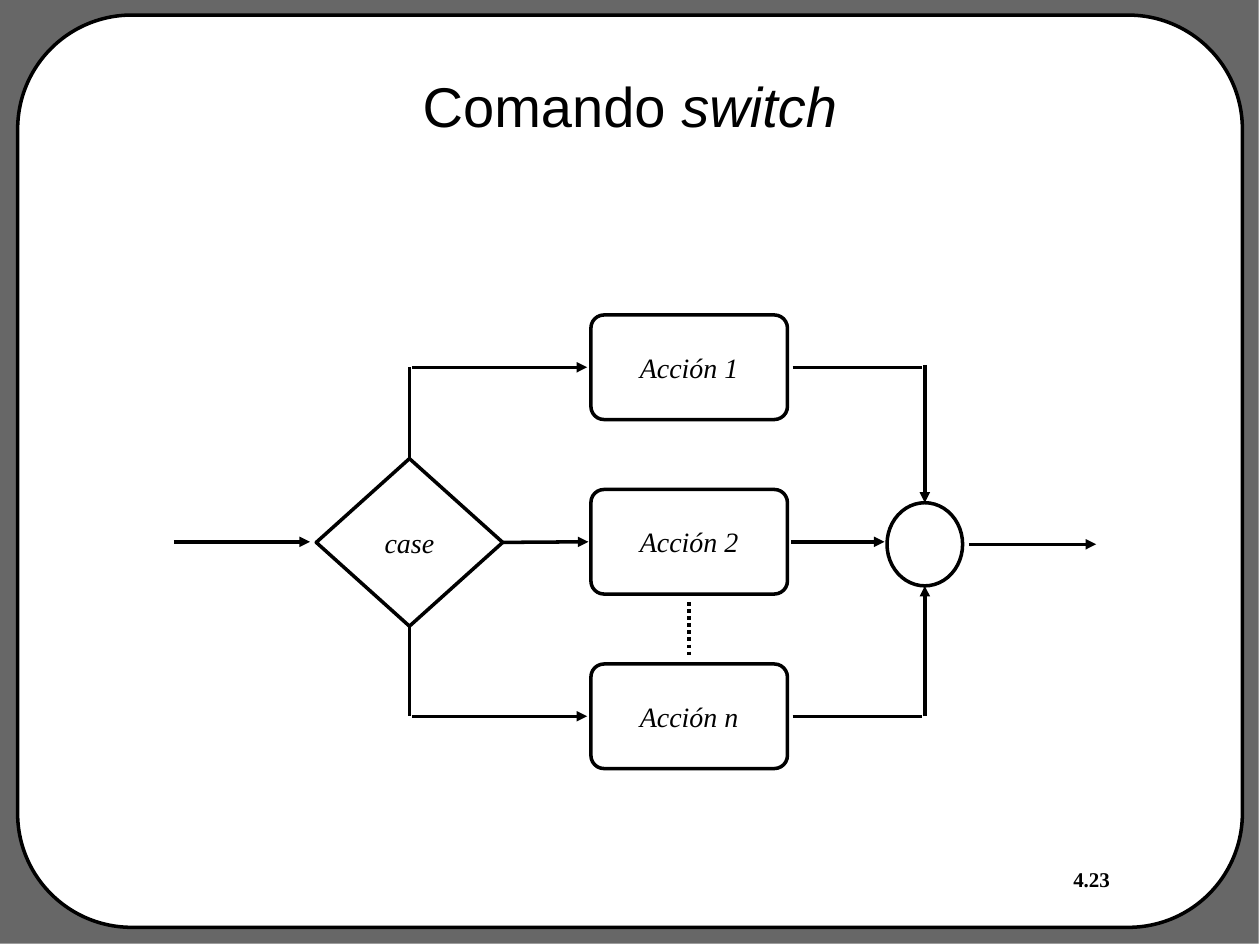
from dataclasses import dataclass

from lxml import etree
from pptx import Presentation
from pptx.dml.color import RGBColor
from pptx.enum.dml import MSO_LINE
from pptx.enum.shapes import MSO_CONNECTOR, MSO_SHAPE
from pptx.enum.text import MSO_ANCHOR, PP_ALIGN
from pptx.oxml.ns import qn
from pptx.util import Inches, Pt


@dataclass(frozen=True)
class Theme:
    ink: RGBColor = RGBColor(0x00, 0x00, 0x00)
    paper: RGBColor = RGBColor(0xFF, 0xFF, 0xFF)
    border: RGBColor = RGBColor(0x67, 0x67, 0x67)
    title_font: str = "Arial"
    body_font: str = "Times New Roman"
    title_size: Pt = Pt(32)
    label_size: Pt = Pt(16)
    number_size: Pt = Pt(12)
    stroke: Pt = Pt(2)


@dataclass(frozen=True)
class Box:
    left: float
    top: float
    width: float
    height: float

    def inner(self, x, y, width, height):
        return Box(self.left + x, self.top + y, width, height)

    def lengths(self):
        return [Inches(n) for n in (self.left, self.top, self.width, self.height)]


THEME = Theme()


def set_font(paragraph, name, size):
    paragraph.font.name = name
    paragraph.font.size = size
    paragraph.font.color.rgb = THEME.ink


def add_node(slide, kind, box, label="", fill=None, outlined=True):
    shape = slide.shapes.add_shape(kind, *box.lengths())
    shape.shadow.inherit = False
    if kind == MSO_SHAPE.ROUNDED_RECTANGLE:
        shape.adjustments[0] = 0.125
    if fill is None:
        shape.fill.background()
    else:
        shape.fill.solid()
        shape.fill.fore_color.rgb = fill
    if outlined:
        shape.line.color.rgb = THEME.ink
        shape.line.width = THEME.stroke
    else:
        shape.line.fill.background()
    if label:
        frame = shape.text_frame
        frame.word_wrap = False
        frame.vertical_anchor = MSO_ANCHOR.MIDDLE
        paragraph = frame.paragraphs[0]
        paragraph.text = label
        paragraph.alignment = PP_ALIGN.CENTER
        set_font(paragraph, THEME.body_font, THEME.label_size)
        paragraph.font.italic = True
    return shape


def add_line(slide, box, start, end, arrow=False, dash=None):
    points = [Inches(n) for x, y in (start, end) for n in (box.left + x, box.top + y)]
    line = slide.shapes.add_connector(MSO_CONNECTOR.STRAIGHT, *points)
    line.line.color.rgb = THEME.ink
    line.line.width = THEME.stroke
    if dash:
        line.line.dash_style = dash
    if arrow:
        etree.SubElement(line.line._get_or_add_ln(), qn("a:tailEnd"), type="triangle")
    etree.SubElement(line._element.spPr, qn("a:effectLst"))
    return line


def add_frame(slide, box):
    add_node(slide, MSO_SHAPE.RECTANGLE, box, fill=THEME.border, outlined=False)
    panel = box.inner(0.14, 0.12, box.width - 0.27, box.height - 0.25)
    add_node(slide, MSO_SHAPE.ROUNDED_RECTANGLE, panel, fill=THEME.paper)


def add_title(slide, box):
    frame = slide.shapes.add_textbox(*box.lengths()).text_frame
    frame.word_wrap = True
    frame.vertical_anchor = MSO_ANCHOR.MIDDLE
    paragraph = frame.paragraphs[0]
    paragraph.alignment = PP_ALIGN.CENTER
    paragraph.add_run().text = "Comando "
    keyword = paragraph.add_run()
    keyword.text = "switch"
    keyword.font.italic = True
    set_font(paragraph, THEME.title_font, THEME.title_size)


def add_page_number(slide, box):
    frame = slide.shapes.add_textbox(*box.lengths()).text_frame
    frame.word_wrap = True
    paragraph = frame.paragraphs[0]
    paragraph.text = "4.23"
    set_font(paragraph, THEME.body_font, THEME.number_size)
    paragraph.font.bold = True


def add_switch_flowchart(slide, box):
    action_left, action_width, action_height = 3.31, 1.56, 0.83
    pitch = (box.height - action_height) / 2
    upper, middle, lower = [action_height / 2 + row * pitch for row in range(3)]
    case_x, merge_x, merge_y = 1.87, 5.96, 1.82
    merge_top, merge_height = 1.49, 0.66

    case = add_node(slide, MSO_SHAPE.DIAMOND, box.inner(1.13, 1.14, 1.48, 1.33), "case")
    for row, label in enumerate(("Acción 1", "Acción 2", "Acción n")):
        place = box.inner(action_left, row * pitch, action_width, action_height)
        add_node(slide, MSO_SHAPE.ROUNDED_RECTANGLE, place, label)
    merge = add_node(slide, MSO_SHAPE.OVAL,
                     box.inner(merge_x - 0.3, merge_top, 0.6, merge_height))

    add_line(slide, box, (0, middle), (1.08, middle), arrow=True)
    add_line(slide, box, (2.61, middle), (3.29, middle), arrow=True).begin_connect(case, 3)
    add_line(slide, box, (4.9, middle), (5.64, middle), arrow=True)
    add_line(slide, box, (6.31, merge_y), (box.width, merge_y), arrow=True)

    for level, side in ((upper, 0), (lower, 2)):
        add_line(slide, box, (case_x, middle), (case_x, level)).begin_connect(case, side)
        add_line(slide, box, (case_x + 0.02, level), (3.28, level), arrow=True)
        add_line(slide, box, (4.91, level), (merge_x - 0.02, level))
    descent = add_line(slide, box, (merge_x, upper - 0.02), (merge_x, merge_top), arrow=True)
    descent.end_connect(merge, 0)
    add_line(slide, box, (merge_x, lower), (merge_x, merge_top + merge_height), arrow=True)

    dots_x = action_left + action_width / 2
    add_line(slide, box, (dots_x, 2.28), (dots_x, 2.7), dash=MSO_LINE.ROUND_DOT)


def main():
    presentation = Presentation()
    presentation.slide_width = Inches(10)
    presentation.slide_height = Inches(7.5)
    slide = presentation.slides.add_slide(presentation.slide_layouts[6])
    add_frame(slide, Box(0, 0, 9.99, 7.49))
    add_page_number(slide, Box(8.42, 6.83, 0.83, 0.3))
    add_title(slide, Box(0.75, 0.21, 8.5, 1.25))
    add_switch_flowchart(slide, Box(1.38, 2.5, 7.32, 3.6))
    presentation.save("out.pptx")


if __name__ == "__main__":
    main()
